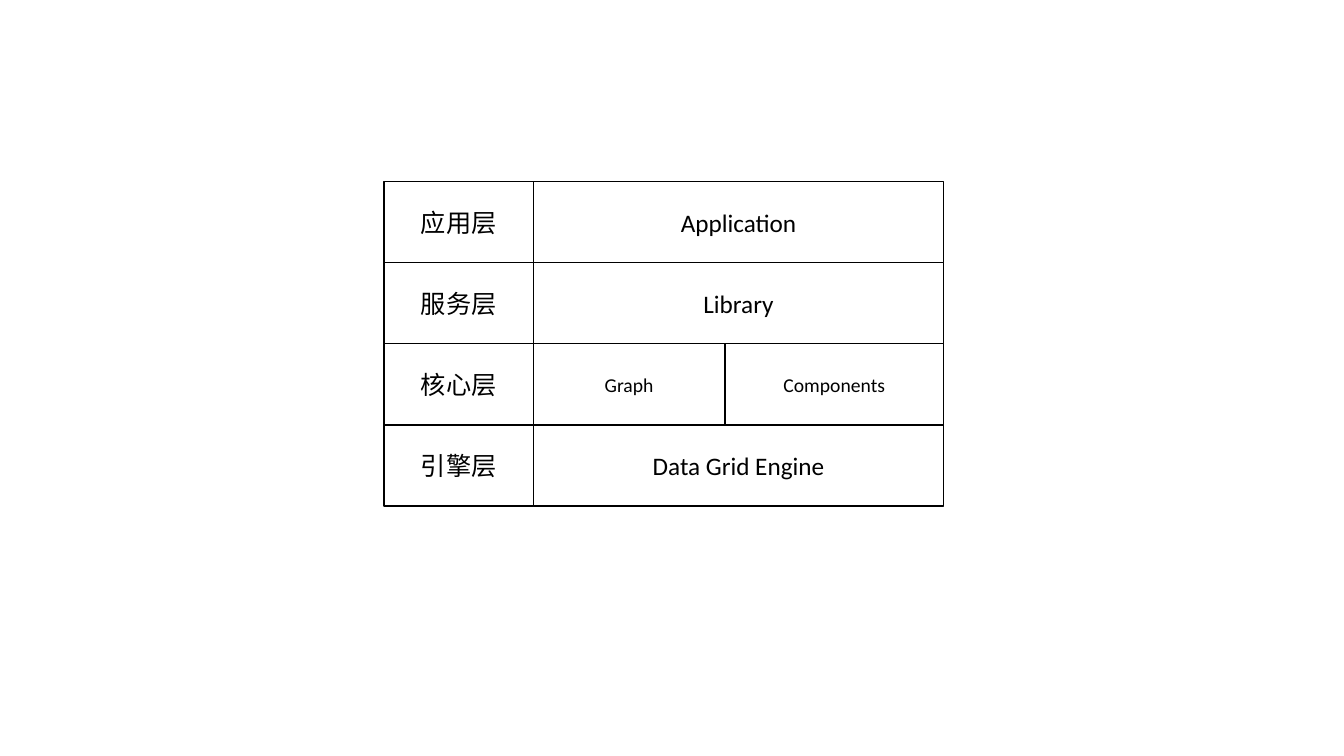
from pptx import Presentation
from pptx.dml.color import RGBColor
from pptx.enum.shapes import MSO_SHAPE
from pptx.enum.text import MSO_ANCHOR, PP_ALIGN
from pptx.util import Inches, Pt

RECT = MSO_SHAPE.RECTANGLE
MIDDLE = MSO_ANCHOR.MIDDLE
CENTER = PP_ALIGN.CENTER
BLACK = RGBColor(0, 0, 0)
WHITE = RGBColor(255, 255, 255)
FONT = "Calibri"

LABEL_W = 1.48
GRAPH_W = 1.9

# Layer name and the parts it holds, top to bottom
LAYERS = [
    ("应用层", ["Application"]),
    ("服务层", ["Library"]),
    ("核心层", ["Graph", "Components"]),
    ("引擎层", ["Data Grid Engine"]),
]


def add_cell(slide, text, left, top, width, height, size=18):
    cell = slide.shapes.add_shape(
        RECT, Inches(left), Inches(top), Inches(width), Inches(height))
    cell.shadow.inherit = False
    cell.fill.solid()
    cell.fill.fore_color.rgb = WHITE
    cell.line.color.rgb = BLACK
    cell.line.width = Pt(1)
    frame = cell.text_frame
    frame.word_wrap = True
    frame.vertical_anchor = MIDDLE
    para = frame.paragraphs[0]
    para.alignment = CENTER
    run = para.add_run()
    run.text = text
    run.font.name = FONT
    run.font.size = Pt(size)
    run.font.color.rgb = BLACK


def add_layer(slide, label, parts, left, top, width, height):
    # Label on the left
    add_cell(slide, label, left, top, LABEL_W, height)
    # One wide part, or a narrow one followed by the rest
    body_w = width - LABEL_W
    if len(parts) == 1:
        widths, size = [body_w], 18
    else:
        widths, size = [GRAPH_W, body_w - GRAPH_W], 14
    x = left + LABEL_W
    for part, part_w in zip(parts, widths):
        add_cell(slide, part, x, top, part_w, height, size)
        x += part_w


def add_stack(slide, left, top, width, height):
    row_h = height / len(LAYERS)
    for row, (label, parts) in enumerate(LAYERS):
        add_layer(slide, label, parts, left, top + row * row_h, width, row_h)


def main():
    deck = Presentation()
    deck.slide_width = Inches(13.33)
    deck.slide_height = Inches(7.5)
    slide = deck.slides.add_slide(deck.slide_layouts[6])
    add_stack(slide, 3.81, 1.8, 5.55, 3.22)
    deck.save("out.pptx")


if __name__ == "__main__":
    main()
